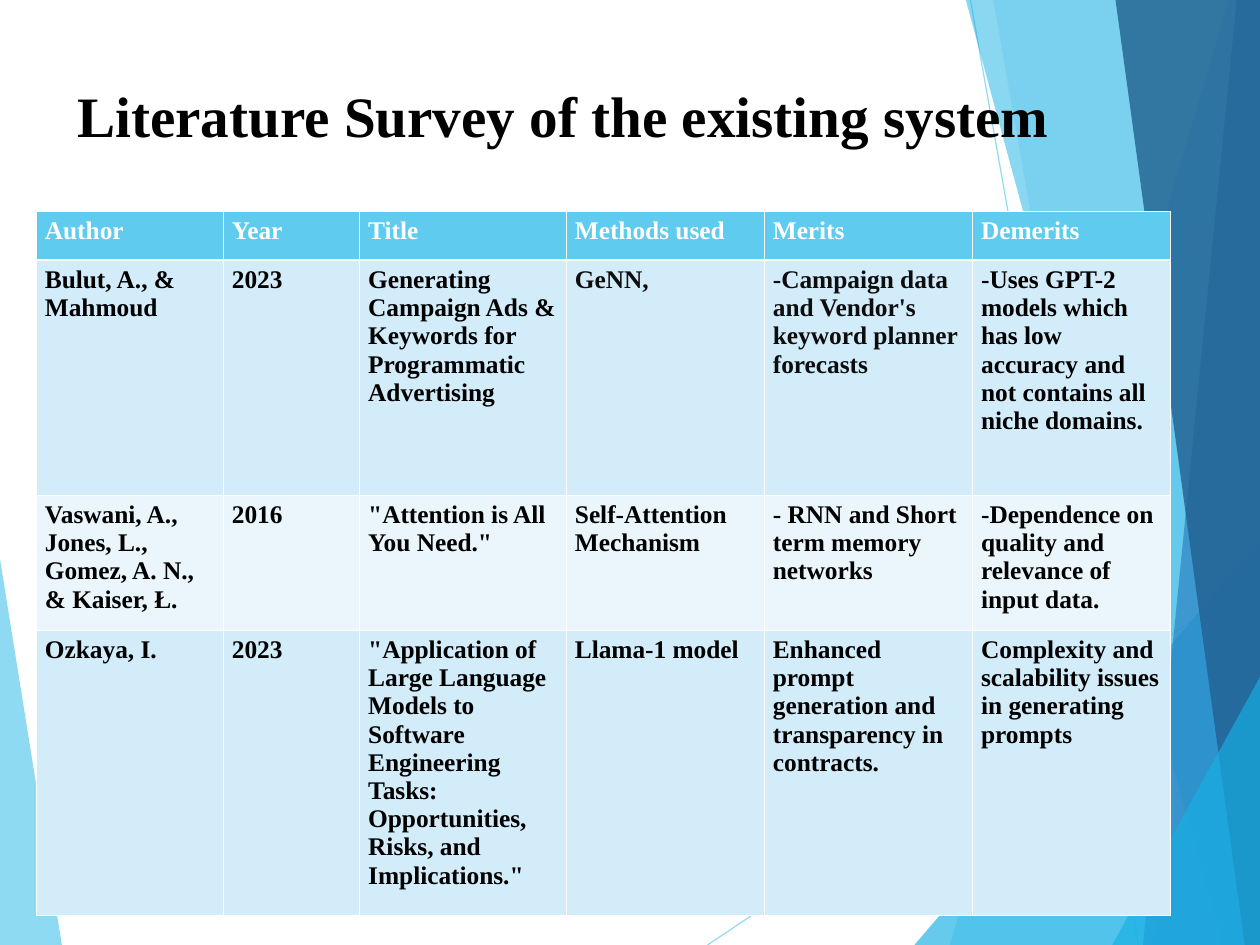
"""Build the literature survey slide with its faceted backdrop and table."""
from lxml.etree import SubElement
from pptx import Presentation
from pptx.dml.color import RGBColor
from pptx.enum.shapes import MSO_CONNECTOR
from pptx.enum.text import MSO_ANCHOR as Anchor
from pptx.oxml.ns import qn
from pptx.util import Pt

WIDTH, HEIGHT = 793.7, 595.28
WHITE = RGBColor(0xFF, 0xFF, 0xFF)
BLACK = RGBColor(0x00, 0x00, 0x00)
SOFT_BLACK = RGBColor(0x0D, 0x0D, 0x0D)
SKY = RGBColor(0x5F, 0xCB, 0xEF)
CYAN = RGBColor(0x17, 0xB0, 0xE4)
BLUE = RGBColor(0x2E, 0x83, 0xC3)
NAVY = RGBColor(0x23, 0x62, 0x92)
PALE = RGBColor(0xD2, 0xEC, 0xF9)
PALEST = RGBColor(0xEA, 0xF6, 0xFC)

LEFT_FACET = [(0, 352), (39, HEIGHT), (0, HEIGHT)]
RAYS = [((445.7, HEIGHT), (WIDTH, 362.5)), ((611.3, 0), (717.1, HEIGHT))]


def band(top, bottom):
    """Return the outline between a slanted edge and the right slide edge."""
    return [(top, 0), (bottom, HEIGHT), (WIDTH, HEIGHT), (WIDTH, 0)]


def corner(left, top):
    """Return a triangle filling the bottom right corner."""
    return [(left, HEIGHT), (WIDTH, top), (WIDTH, HEIGHT)]


FACETS = [
    (band(774, 598.3), SKY, 36),
    (band(625.7, 730.1), SKY, 20),
    (corner(576, 340.6), CYAN, 66),
    (band(608.4, 769.7), CYAN, 50),
    (band(779, 720), BLUE, 70),
    (band(702.7, 784.1), NAVY, 82),
    (corner(700.6, 426.5), CYAN, 66),
]

COLUMN_WIDTHS = [117.8, 85.9, 130.2, 124.7, 131.2, 124.5]
ROW_HEIGHTS = [30.7, 148.1, 85, 174.4]
ROW_FILLS = [SKY, PALE, PALEST, PALE]
SURVEY = [
    ["Author", "Year", "Title", "Methods used", "Merits", "Demerits"],
    ["Bulut, A., & Mahmoud", "2023",
     "Generating Campaign Ads & Keywords for Programmatic Advertising",
     "GeNN,", "-Campaign data and Vendor's keyword planner forecasts",
     "-Uses GPT-2 models which has low accuracy and not contains all niche domains."],
    ["Vaswani, A., Jones, L., Gomez, A. N., & Kaiser, Ł.", "2016",
     '"Attention is All You Need."', "Self-Attention Mechanism",
     "- RNN and Short term memory networks",
     "-Dependence on quality and relevance of input data."],
    ["Ozkaya, I.", "2023",
     '"Application of Large Language Models to Software Engineering Tasks: '
     'Opportunities, Risks, and Implications."',
     "Llama-1 model",
     "Enhanced prompt generation and transparency in contracts.",
     "Complexity and scalability issues in generating prompts"],
]


class SlideBuilder:
    """Hold the typeface and the current slide, and draw elements on it."""

    def __init__(self, slide, typeface):
        """Keep the slide and the typeface."""
        self.slide = slide
        self.typeface = typeface

    def style(self, paragraph, size, color):
        """Format the runs of a paragraph."""
        for run in paragraph.runs:
            run.font.name = self.typeface
            run.font.size = Pt(size)
            run.font.bold = True
            run.font.color.rgb = color

    def fade(self, shape, opacity):
        """Set the opacity in percent of a shape's colours."""
        for color in shape.element.spPr.iter(qn("a:srgbClr")):
            SubElement(color, qn("a:alpha"), val=str(opacity * 1000))

    def facet(self, outline, color, opacity):
        """Draw a translucent polygon."""
        start, *rest = [(Pt(x), Pt(y)) for x, y in outline]
        builder = self.slide.shapes.build_freeform(*start)
        builder.add_line_segments(rest, close=True)
        facet = builder.convert_to_shape()
        facet.shadow.inherit = False
        facet.fill.solid()
        facet.fill.fore_color.rgb = color
        facet.line.fill.background()
        self.fade(facet, opacity)

    def ray(self, start, end):
        """Draw a thin translucent line."""
        ends = [Pt(value) for value in (*start, *end)]
        ray = self.slide.shapes.add_connector(MSO_CONNECTOR.STRAIGHT, *ends)
        ray.line.color.rgb = SKY
        ray.line.width = Pt(0.75)
        self.fade(ray, 70)
        SubElement(ray.element.spPr, qn("a:effectLst"))

    def title(self, text, left, top, width, height):
        """Write the slide title."""
        box = self.slide.shapes.add_textbox(Pt(left), Pt(top), Pt(width), Pt(height))
        frame = box.text_frame
        frame.word_wrap = True
        frame.vertical_anchor = Anchor.MIDDLE
        frame.margin_left = Pt(9)
        frame.margin_top = Pt(2)
        frame.margin_right = frame.margin_bottom = 0
        frame.text = text
        frame.paragraphs[0].line_spacing = 0.93
        self.style(frame.paragraphs[0], 36, BLACK)

    def borders(self, cell, top, bottom):
        """Give a cell white borders, with its own top and bottom widths."""
        properties = cell._tc.get_or_add_tcPr()
        for side, width in (("L", 0.45), ("R", 0.45), ("T", top), ("B", bottom)):
            border = SubElement(properties, qn(f"a:ln{side}"), w=str(Pt(width)))
            fill = SubElement(border, qn("a:solidFill"))
            SubElement(fill, qn("a:srgbClr"), val=str(WHITE))

    def cell(self, cell, text, fill, color):
        """Fill one table cell with text."""
        cell.fill.solid()
        cell.fill.fore_color.rgb = fill
        cell.margin_left = cell.margin_right = Pt(5.4)
        cell.margin_top = cell.margin_bottom = Pt(3.5)
        cell.text = text
        self.style(cell.text_frame.paragraphs[0], 16, color)

    def table(self, rows, left, top):
        """Draw the survey table."""
        table = self.slide.shapes.add_table(
            len(rows), len(COLUMN_WIDTHS), Pt(left), Pt(top),
            Pt(sum(COLUMN_WIDTHS)), Pt(sum(ROW_HEIGHTS))).table
        for column, width in zip(table.columns, COLUMN_WIDTHS):
            column.width = Pt(width)
        for row, height in zip(table.rows, ROW_HEIGHTS):
            row.height = Pt(height)
        for r, entries in enumerate(rows):
            for c, entry in enumerate(entries):
                color = WHITE if r == 0 else BLACK
                if r == 1 and c in (3, 4):
                    color = SOFT_BLACK
                cell = table.cell(r, c)
                self.borders(cell, 1.47 if r == 1 else 0.45, 1.47 if r == 0 else 0.45)
                self.cell(cell, entry, ROW_FILLS[r], color)


def main():
    """Build and save the presentation."""
    deck = Presentation()
    deck.slide_width, deck.slide_height = Pt(WIDTH), Pt(HEIGHT)
    page = SlideBuilder(deck.slides.add_slide(deck.slide_layouts[6]), "Times New Roman")
    page.facet(LEFT_FACET, SKY, 70)
    for ray in RAYS:
        page.ray(*ray)
    for facet in FACETS:
        page.facet(*facet)
    page.title("Literature Survey of the existing system", 39.6, 23.8, 714.2, 99.4)
    page.table(SURVEY, 22.9, 133.2)
    deck.save("out.pptx")


if __name__ == "__main__":
    main()
